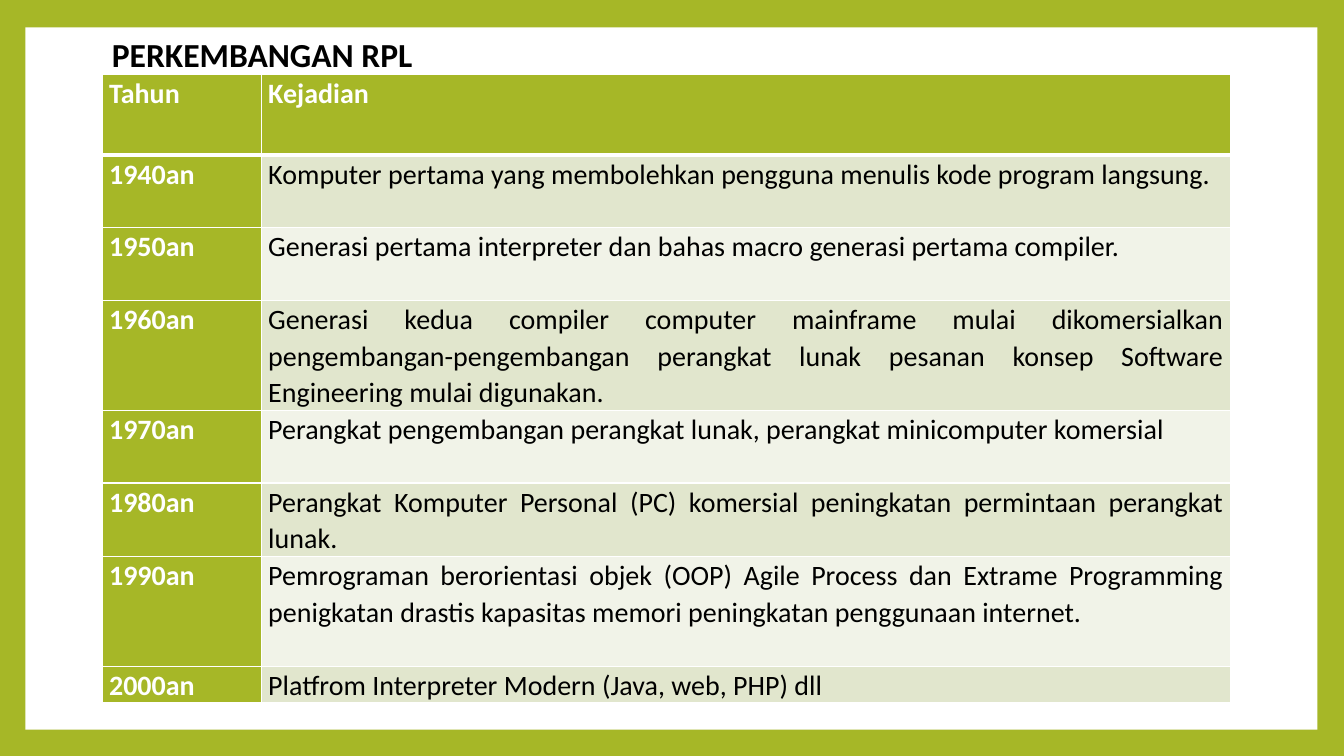
"""Build a slide with a table of software engineering history by decade."""
from lxml.etree import SubElement
from pptx import Presentation
from pptx.dml.color import RGBColor
from pptx.enum.shapes import MSO_SHAPE
from pptx.enum.text import PP_ALIGN
from pptx.oxml.ns import qn
from pptx.util import Cm, Pt

TITLE = "PERKEMBANGAN RPL"
HEADER = ("Tahun", "Kejadian")
EVENTS = [
    ("1940an", "Komputer pertama yang membolehkan pengguna menulis kode program langsung."),
    ("1950an", "Generasi pertama interpreter dan bahas macro generasi pertama compiler."),
    ("1960an", "Generasi kedua compiler computer mainframe mulai dikomersialkan "
               "pengembangan-pengembangan perangkat lunak pesanan konsep Software "
               "Engineering mulai digunakan."),
    ("1970an", "Perangkat pengembangan perangkat lunak, perangkat minicomputer komersial"),
    ("1980an", "Perangkat Komputer Personal (PC) komersial peningkatan permintaan "
               "perangkat lunak."),
    ("1990an", "Pemrograman berorientasi objek (OOP) Agile Process dan Extrame Programming "
               "penigkatan drastis kapasitas memori peningkatan penggunaan internet."),
    ("2000an", "Platfrom Interpreter Modern (Java, web, PHP) dll"),
]
COLUMN_WIDTHS = (4.01, 24.43)
ROW_HEIGHTS = (2.03, 1.83, 1.83, 2.77, 1.83, 1.83, 2.77, 0.9)
LEFT = 2.57
THEME = {
    "font": "Calibri", "title_size": 24, "table_size": 20,
    "green": "A6B727", "white": "FFFFFF", "black": "000000",
    "bands": ("E1E6CD", "F1F3E8"),
}


def paint(fill, color):
    fill.solid()
    fill.fore_color.rgb = RGBColor.from_string(color)


def write(frame, text, *, size, color, bold=False, align=None, spacing=None, after=None):
    frame.word_wrap = True
    para = frame.paragraphs[0]
    para.alignment = align
    para.line_spacing = spacing
    para.space_after = None if after is None else Pt(after)
    span = para.add_run()
    span.text = text
    span.font.name = THEME["font"]
    span.font.size = Pt(size)
    span.font.bold = bold
    span.font.color.rgb = RGBColor.from_string(color)


def add_borders(cell, bottom, top):
    properties = cell._tc.get_or_add_tcPr()
    for side, width in (("L", 1), ("R", 1), ("T", top), ("B", bottom)):
        line = SubElement(properties, qn(f"a:ln{side}"), w=str(Pt(width)))
        solid = SubElement(line, qn("a:solidFill"))
        SubElement(solid, qn("a:srgbClr"), val=THEME["white"])


def add_panel(page):
    panel = page.shapes.add_shape(MSO_SHAPE.RECTANGLE, Cm(0.64), Cm(0.69), Cm(32.56), Cm(17.7))
    panel.shadow.inherit = False
    paint(panel.fill, THEME["white"])
    panel.line.fill.background()


def add_history(page):
    rows = [HEADER, *EVENTS]
    table = page.shapes.add_table(
        len(rows), len(HEADER), Cm(LEFT), Cm(1.88),
        Cm(sum(COLUMN_WIDTHS)), Cm(sum(ROW_HEIGHTS))).table
    for column, width in zip(table.columns, COLUMN_WIDTHS):
        column.width = Cm(width)
    for row, height in zip(table.rows, ROW_HEIGHTS):
        row.height = Cm(height)
    for row_index, texts in enumerate(rows):
        for column_index, text in enumerate(texts):
            cell = table.cell(row_index, column_index)
            heading = row_index == 0 or column_index == 0
            add_borders(cell, bottom=3 if row_index == 0 else 1, top=3 if row_index == 1 else 1)
            paint(cell.fill, THEME["green"] if heading else THEME["bands"][(row_index - 1) % 2])
            cell.margin_left = cell.margin_right = Cm(0.18)
            cell.margin_top = cell.margin_bottom = Cm(0)
            write(cell.text_frame, text, size=THEME["table_size"], bold=heading,
                  color=THEME["white"] if heading else THEME["black"],
                  align=PP_ALIGN.JUSTIFY, spacing=1.07, after=8)


def main():
    deck = Presentation()
    deck.slide_width, deck.slide_height = Cm(33.87), Cm(19.05)
    page = deck.slides.add_slide(deck.slide_layouts[6])
    paint(page.background.fill, THEME["green"])
    add_panel(page)
    add_history(page)
    box = page.shapes.add_textbox(Cm(LEFT), Cm(0.74), Cm(16.94), Cm(1.27))
    write(box.text_frame, TITLE, size=THEME["title_size"], color=THEME["black"], bold=True)
    deck.save("out.pptx")


if __name__ == "__main__":
    main()
